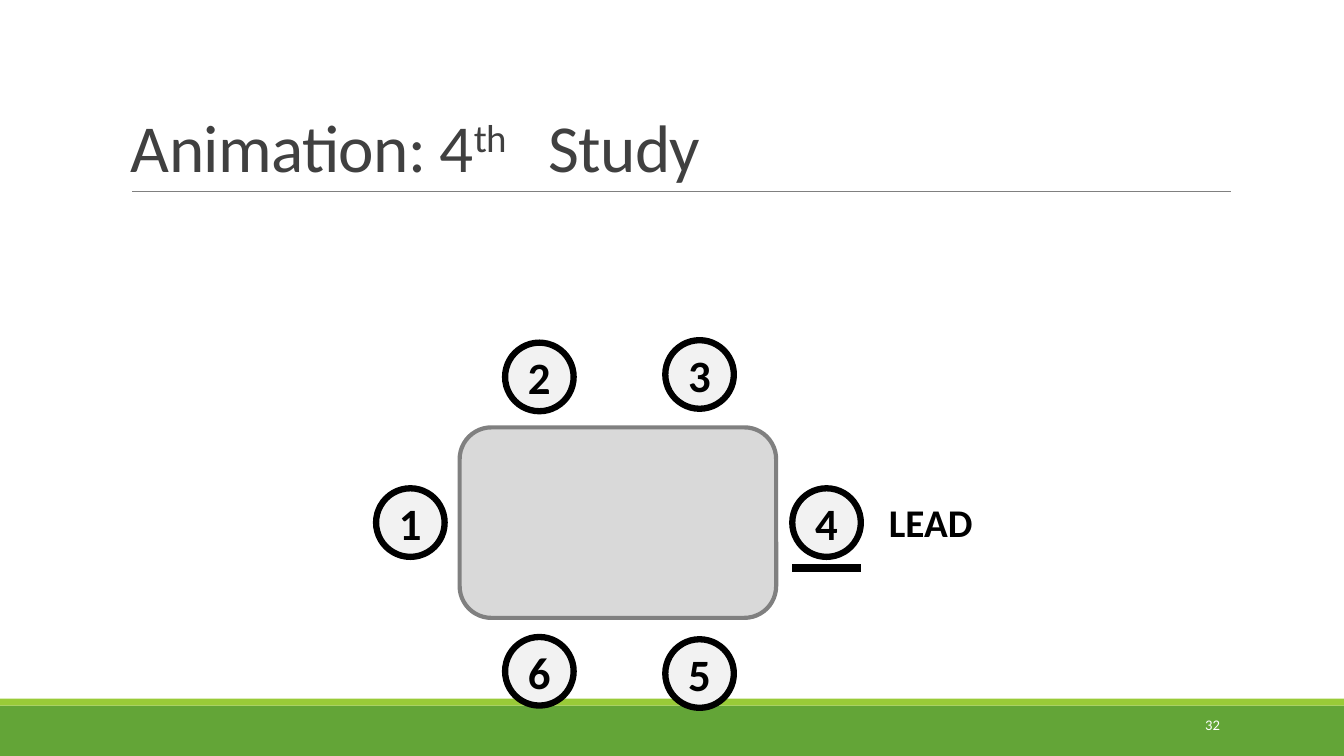
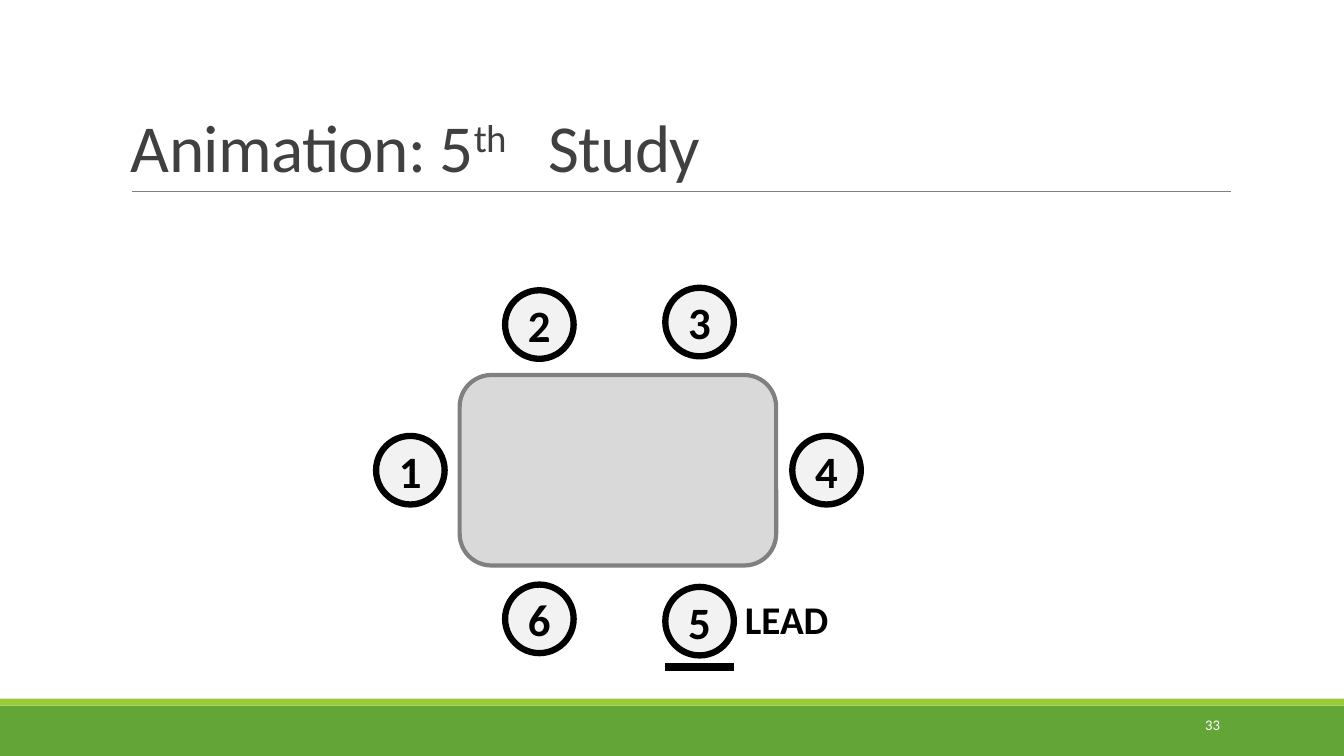
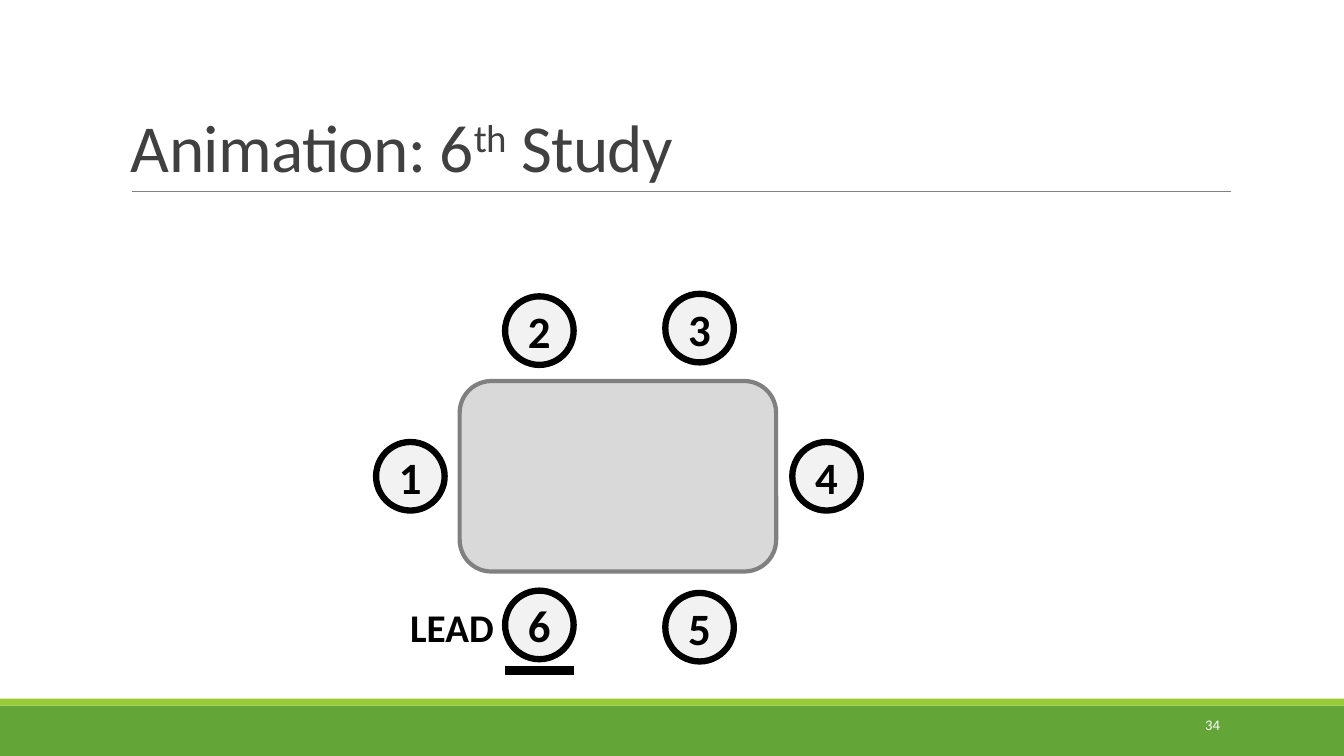
from dataclasses import dataclass
from typing import Any

from lxml.etree import SubElement
from pptx import Presentation
from pptx.dml.color import RGBColor
from pptx.enum.shapes import MSO_CONNECTOR, MSO_SHAPE
from pptx.enum.text import MSO_ANCHOR, MSO_AUTO_SIZE, PP_ALIGN
from pptx.oxml.ns import qn
from pptx.util import Inches, Pt

WIDTH, HEIGHT = Inches(13.33), Inches(7.5)
COLUMNS = ROWS = 100

GREEN = RGBColor(0x63, 0xA5, 0x37)
LIME = RGBColor(0x99, 0xCB, 0x38)
GREY = RGBColor(0x80, 0x80, 0x80)
CHARCOAL = RGBColor(0x40, 0x40, 0x40)
TABLETOP = RGBColor(0xD9, 0xD9, 0xD9)
SEAT_FILL = RGBColor(0xF2, 0xF2, 0xF2)
BLACK = RGBColor(0, 0, 0)
WHITE = RGBColor(0xFF, 0xFF, 0xFF)
FONT = "Calibri"


@dataclass(frozen=True)
class Area:
    col: float
    row: float
    cols: float
    rows: float

    def emu(self) -> tuple[int, int, int, int]:
        return x(self.col), y(self.row), x(self.cols), y(self.rows)


@dataclass(frozen=True)
class Seat:
    number: int
    col: float
    row: float


@dataclass(frozen=True)
class Study:
    lead: int
    page: int
    before_word: str
    table_row: float
    label_col: float
    label_row: float


TITLE = Area(9, 4.13, 82.5, 21.2)
PAGE_NUMBER = Area(80.78, 93.2, 10.73, 5.33)
BANDS = ((Area(0, 93.33, 100, 6.67), GREEN), (Area(0, 92.4, 100, 0.93), LIME))
RULE_START, RULE_END, RULE_ROW = 9.83, 91.58, 25.33

TABLE_COL, TABLE_COLS, TABLE_ROWS = 34.2, 23.55, 25.2
SEAT_COLS, SEAT_ROWS = 5.1, 9.07
LABEL_COLS, LABEL_ROWS = 7.8, 7.6
UNDERLINE_GAP = 1.5
SIDE_ROW = (TABLE_ROWS - SEAT_ROWS) / 2

SEATS = (
    Seat(1, -6.22, SIDE_ROW),
    Seat(2, 3.38, -11.2),
    Seat(3, 15.3, -11.53),
    Seat(4, 24.75, SIDE_ROW),
    Seat(6, 3.38, 27.73),
    Seat(5, 15.3, 28.03),
)

STUDIES = (
    Study(4, 32, "\t ", 56.53, 6.45, 0.67),
    Study(5, 33, "\t ", 49.6, 5.18, 0.4),
    Study(6, 34, " ", 50.4, -LABEL_COLS, 1.07),
)


def x(cols: float) -> int:
    return round(WIDTH * cols / COLUMNS)


def y(rows: float) -> int:
    return round(HEIGHT * rows / ROWS)


def write(frame: Any, *pieces: str, size: float, color: RGBColor,
          bold: bool = False, align: PP_ALIGN = PP_ALIGN.LEFT,
          anchor: MSO_ANCHOR = MSO_ANCHOR.MIDDLE, wrap: bool = True,
          line_spacing: float | None = None, tracking: float | None = None,
          raised: int | None = None) -> None:
    frame.word_wrap = wrap
    frame.vertical_anchor = anchor
    line = frame.paragraphs[0]
    line.alignment = align
    line.line_spacing = line_spacing
    for index, piece in enumerate(pieces):
        run = line.add_run()
        run.text = piece
        run.font.name = FONT
        run.font.size = Pt(size)
        run.font.bold = bold
        run.font.color.rgb = color
        properties = run.font._element
        if tracking is not None:
            properties.set("spc", str(round(tracking * 100)))
        if index == raised:
            properties.set("baseline", "30000")


def draw_shape(slide: Any, preset: MSO_SHAPE, area: Area, fill: RGBColor,
               outline: RGBColor | None = None, weight: float = 0) -> Any:
    drawn = slide.shapes.add_shape(preset, *area.emu())
    drawn.shadow.inherit = False
    drawn.fill.solid()
    drawn.fill.fore_color.rgb = fill
    if outline is None:
        drawn.line.fill.background()
    else:
        drawn.line.color.rgb = outline
        drawn.line.width = Pt(weight)
    return drawn


def draw_rule(slide: Any, start: float, end: float, row: float,
              color: RGBColor, weight: float) -> None:
    rule = slide.shapes.add_connector(
        MSO_CONNECTOR.STRAIGHT, x(start), y(row), x(end), y(row))
    rule.line.color.rgb = color
    rule.line.width = Pt(weight)
    SubElement(rule._element.spPr, qn("a:effectLst"))


def draw_frame(slide: Any, study: Study) -> None:
    for area, color in BANDS:
        draw_shape(slide, MSO_SHAPE.RECTANGLE, area, color)
    draw_rule(slide, RULE_START, RULE_END, RULE_ROW, GREY, 0.5)
    title = slide.shapes.add_textbox(*TITLE.emu())
    write(title.text_frame, f"Animation: {study.lead}", "th",
          f"{study.before_word}Study", size=48, color=CHARCOAL,
          anchor=MSO_ANCHOR.BOTTOM, line_spacing=0.85, tracking=-0.5, raised=1)
    page = slide.shapes.add_textbox(*PAGE_NUMBER.emu())
    write(page.text_frame, str(study.page), size=10.5, color=WHITE,
          align=PP_ALIGN.RIGHT)


def draw_lead(slide: Any, place: Area, study: Study) -> None:
    draw_rule(slide, place.col, place.col + place.cols,
              place.row + place.rows + UNDERLINE_GAP, BLACK, 6)
    area = Area(place.col + study.label_col, place.row + study.label_row,
                LABEL_COLS, LABEL_ROWS)
    lead = slide.shapes.add_textbox(*area.emu())
    write(lead.text_frame, "LEAD", size=28, color=BLACK, bold=True,
          anchor=MSO_ANCHOR.TOP, wrap=False)
    lead.text_frame.auto_size = MSO_AUTO_SIZE.SHAPE_TO_FIT_TEXT


def draw_seating(slide: Any, study: Study) -> None:
    table = Area(TABLE_COL, study.table_row, TABLE_COLS, TABLE_ROWS)
    draw_shape(slide, MSO_SHAPE.ROUNDED_RECTANGLE, table, TABLETOP, GREY, 3)
    places = {
        seat.number: Area(table.col + seat.col, table.row + seat.row,
                          SEAT_COLS, SEAT_ROWS)
        for seat in SEATS
    }
    for number, place in places.items():
        chair = draw_shape(slide, MSO_SHAPE.OVAL, place, SEAT_FILL, BLACK, 4.5)
        write(chair.text_frame, str(number), size=32, color=BLACK, bold=True,
              align=PP_ALIGN.CENTER)
    draw_lead(slide, places[study.lead], study)


def main() -> None:
    deck = Presentation()
    deck.slide_width, deck.slide_height = WIDTH, HEIGHT
    blank = deck.slide_layouts[6]
    for study in STUDIES:
        slide = deck.slides.add_slide(blank)
        draw_frame(slide, study)
        draw_seating(slide, study)
    deck.save("out.pptx")


main()
